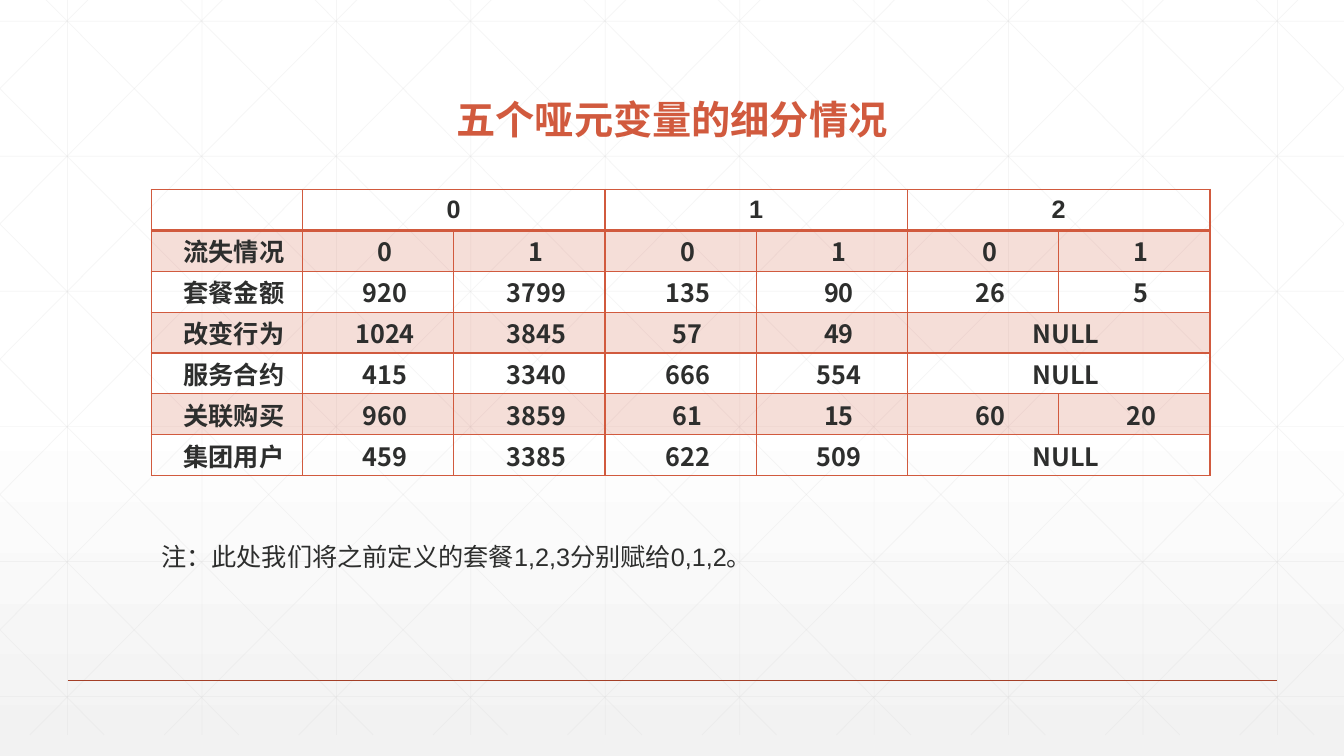
from pptx import Presentation
from pptx.dml.color import RGBColor
from pptx.enum.shapes import MSO_CONNECTOR
from pptx.enum.text import MSO_ANCHOR as Anchor, PP_ALIGN as Align
from pptx.oxml.ns import qn
from pptx.util import Inches, Pt
from lxml.etree import SubElement, Element

RUST = RGBColor(0xD1, 0x5A, 0x3E)
DARK_RUST = RGBColor(0xA4, 0x3F, 0x27)
INK = RGBColor(0x2D, 0x2E, 0x2D)
GRID_GRAY = RGBColor(0xD9, 0xD9, 0xD9)
WHITE = RGBColor(0xFF, 0xFF, 0xFF)
PALE_GRAY = RGBColor(0xF2, 0xF2, 0xF2)
CJK = "Noto Sans CJK SC"


def add_line(x1, y1, x2, y2, color, width, opacity=100):
    line = page.shapes.add_connector(
        MSO_CONNECTOR.STRAIGHT, Inches(x1), Inches(y1), Inches(x2), Inches(y2))
    line.line.color.rgb = color
    line.line.width = Pt(width)
    properties = line._element.spPr
    SubElement(properties, qn("a:effectLst"))
    for tint in properties.iter(qn("a:srgbClr")):
        SubElement(tint, qn("a:alpha"), val=str(opacity * 1000))


def style_paragraph(para, size, color, bold=False, latin="Arial"):
    """Set the font, with the CJK face for East Asian characters."""
    font = para.font
    font.name, font.size, font.bold = latin, Pt(size), bold
    font.color.rgb = color
    face = Element(qn("a:ea"), typeface=CJK)
    para._p.pPr.find(qn("a:defRPr")).find(qn("a:latin")).addnext(face)


deck = Presentation()
deck.slide_width, deck.slide_height = Inches(13.33), Inches(7.5)
page = deck.slides.add_slide(deck.slide_layouts[6])

backdrop = page.background.fill
backdrop.gradient()
backdrop.gradient_angle = 270
stops = backdrop.gradient_stops
for stop, position, color in zip(stops, (0.53, 1), (WHITE, PALE_GRAY)):
    stop.position = position
    stop.color.rgb = color

# Faint background grid, with diagonals clipped at the slide's sides
WIDTH, TOP, BOTTOM = 13.33, -0.21, 7.29
STEP = 4 / 3
RUN = 7.45
SLOPE = (BOTTOM - TOP) / RUN
faint = (GRID_GRAY, 0.5, 25)
for i in range(10):
    x = 0.67 + i * STEP
    add_line(x, TOP, x, BOTTOM, *faint)
for i in range(6):
    y = 0.21 + i * 1.34
    add_line(0, y, WIDTH, y, *faint)
for i in range(-5, 10):
    start = 0.25 + i * STEP
    x1, x2 = max(start, 0), min(start + RUN, WIDTH)
    y1, y2 = (TOP + (x - start) * SLOPE for x in (x1, x2))
    add_line(x1, y1, x2, y2, *faint)
    add_line(WIDTH - x1, y1, WIDTH - x2, y2, *faint)
add_line(0.67, 6.75, 12.67, 6.75, DARK_RUST, 1)

title = page.shapes.add_textbox(Inches(1.76), Inches(0.84), Inches(9.81), Inches(0.63))
title.text_frame.word_wrap = True
title.text_frame.vertical_anchor = Anchor.BOTTOM
heading = title.text_frame.paragraphs[0]
heading.text = "五个哑元变量的细分情况"
heading.alignment = Align.CENTER
heading.line_spacing = 0.9
style_paragraph(heading, 28, RUST, bold=True)

# None continues the cell to its left
ROWS = [
    ["", "0", None, "1", None, "2", None],
    ["流失情况", "0", "1", "0", "1", "0", "1"],
    ["套餐金额", "920", "3799", "135", "90", "26", "5"],
    ["改变行为", "1024", "3845", "57", "49", "NULL", None],
    ["服务合约", "415", "3340", "666", "554", "NULL", None],
    ["关联购买", "960", "3859", "61", "15", "60", "20"],
    ["集团用户", "459", "3385", "622", "509", "NULL", None],
]
table = page.shapes.add_table(
    len(ROWS), 7, Inches(1.5), Inches(1.88), Inches(10.5), Inches(2.84)).table
table.first_row = table.horz_banding = False
for r, row in enumerate(ROWS):
    for c, value in enumerate(row):
        cell = table.cell(r, c)
        if r % 2:
            cell.fill.solid()
            cell.fill.fore_color.rgb = RUST
            for tint in cell._tc.tcPr.iter(qn("a:srgbClr")):
                SubElement(tint, qn("a:alpha"), val="20000")
        else:
            cell.fill.background()
        cell.vertical_anchor = Anchor.MIDDLE
        if r:
            cell.margin_left = cell.margin_right = Inches(0.07)
            cell.margin_top = cell.margin_bottom = 0
        for i, side in enumerate(("lnL", "lnR", "lnT", "lnB")):
            heavy = (r, side) in ((0, "lnB"), (1, "lnT"))
            border = Element(qn("a:" + side), w=str(Pt(2 if heavy else 1)))
            paint = SubElement(border, qn("a:solidFill"))
            SubElement(paint, qn("a:srgbClr"), val=str(RUST))
            cell._tc.tcPr.insert(i, border)
        if value is None:
            table.cell(r, c - 1).merge(cell)
            continue
        para = cell.text_frame.paragraphs[0]
        para.text = value
        para.alignment = Align.CENTER
        if r:
            para._p.pPr.set("indent", str(Inches(0.14)))
        style_paragraph(para, 18, INK, bold=True, latin=CJK if r else "Arial")

note = page.shapes.add_textbox(Inches(1.5), Inches(5.32), Inches(8.66), Inches(0.71))
note.text_frame.word_wrap = True
remark = note.text_frame.paragraphs[0]
remark.text = "注：此处我们将之前定义的套餐1,2,3分别赋给0,1,2。"
style_paragraph(remark, 18, INK)

deck.save("out.pptx")
